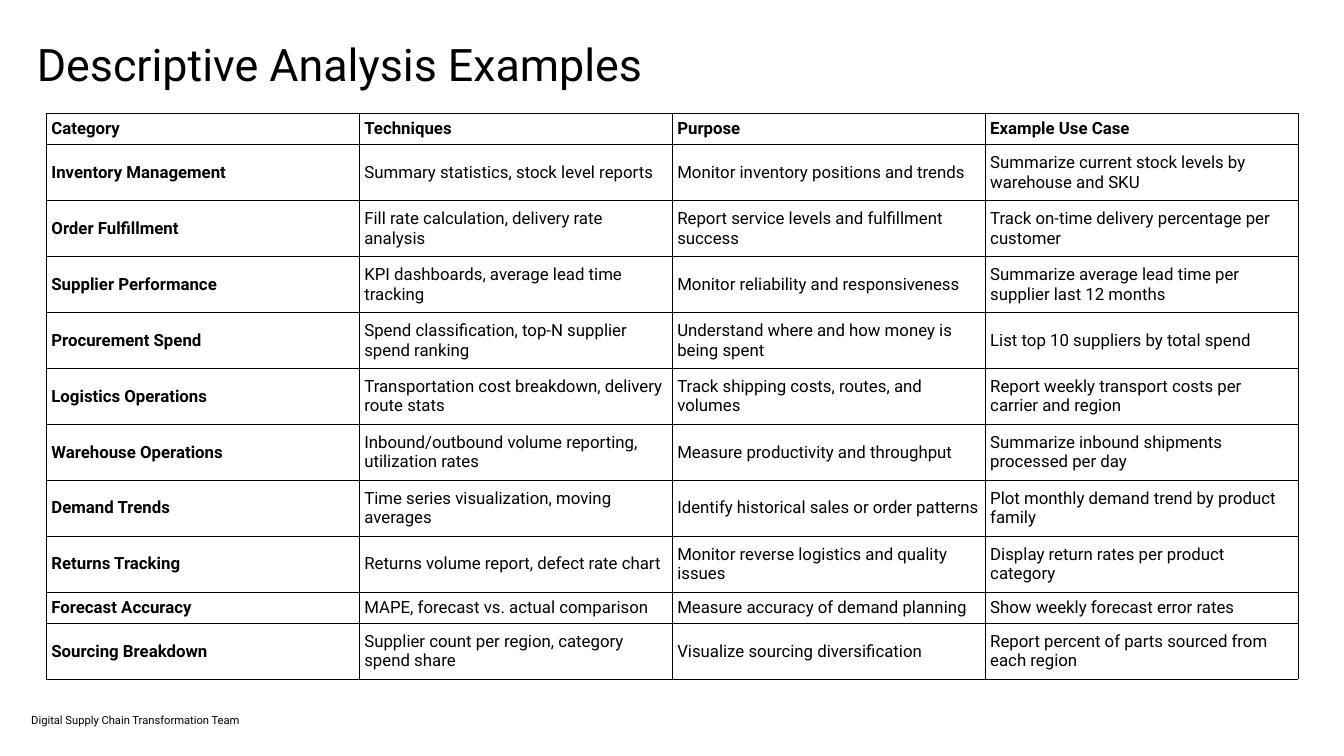
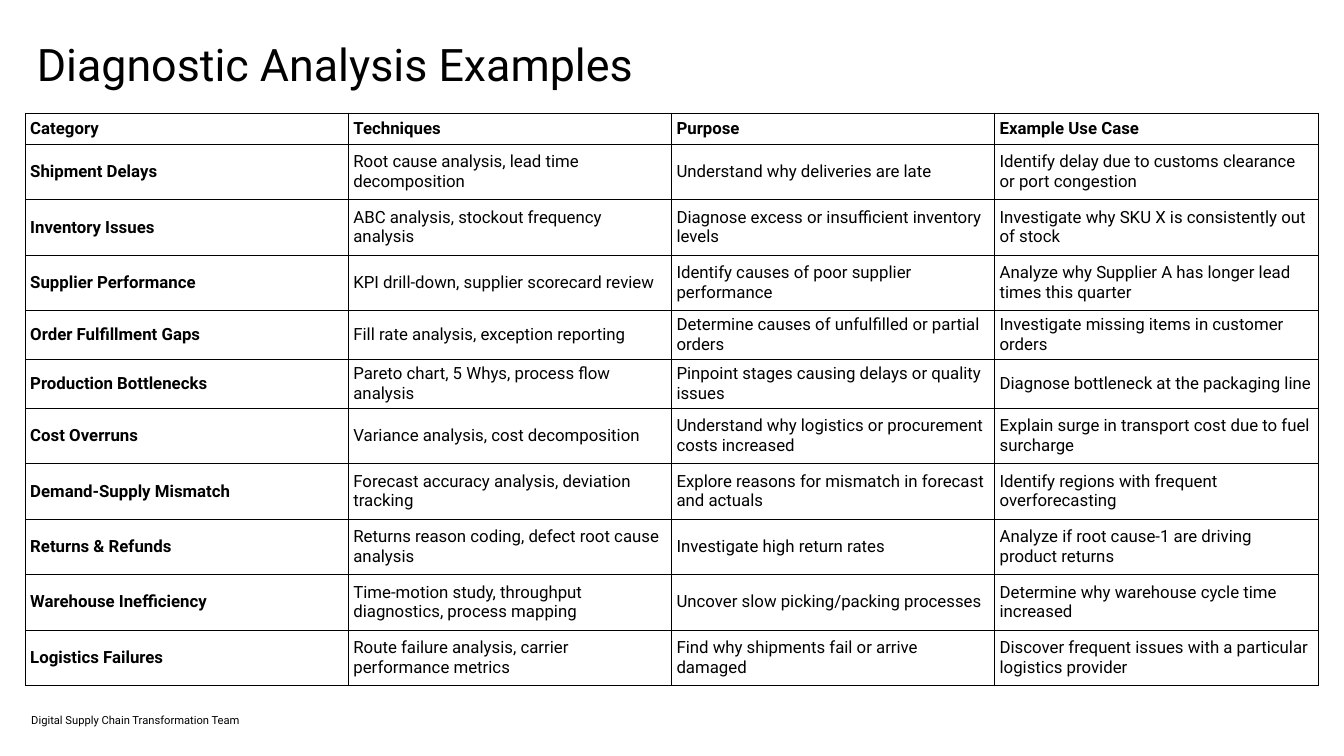
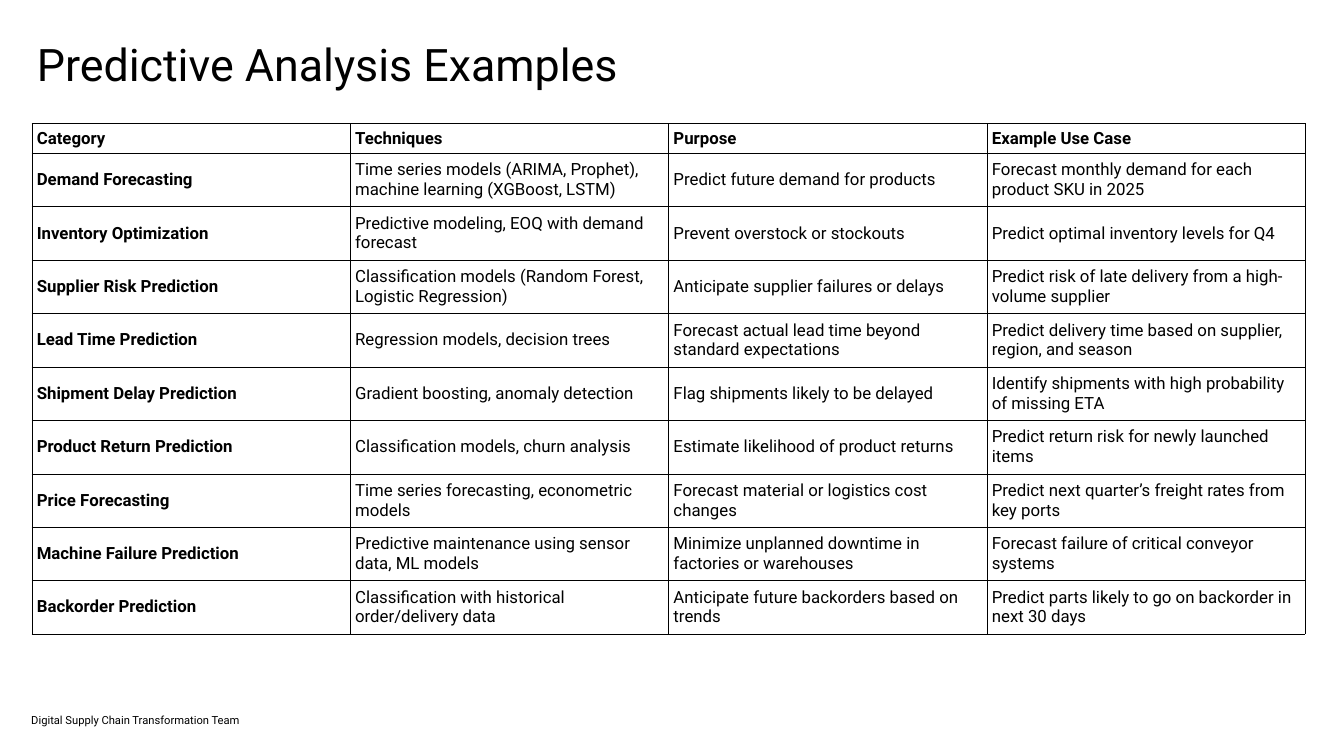
from lxml import etree
from pptx import Presentation
from pptx.dml.color import RGBColor
from pptx.enum import text as tx
from pptx.oxml.ns import qn
from pptx.util import Inches, Pt

BLACK = RGBColor(0x00, 0x00, 0x00)
FONT = "Roboto"
TEAM = "Digital Supply Chain Transformation Team"
TITLE_ONLY = 5
HEAD = ("Category", "Techniques", "Purpose", "Example Use Case")

PAST = [
    ("Inventory Management", "Summary statistics, stock level reports",
     "Monitor inventory positions and trends",
     "Summarize current stock levels by warehouse and SKU"),
    ("Order Fulfillment", "Fill rate calculation, delivery rate analysis",
     "Report service levels and fulfillment success",
     "Track on-time delivery percentage per customer"),
    ("Supplier Performance", "KPI dashboards, average lead time tracking",
     "Monitor reliability and responsiveness",
     "Summarize average lead time per supplier last 12 months"),
    ("Procurement Spend", "Spend classification, top-N supplier spend ranking",
     "Understand where and how money is being spent",
     "List top 10 suppliers by total spend"),
    ("Logistics Operations", "Transportation cost breakdown, delivery route stats",
     "Track shipping costs, routes, and volumes",
     "Report weekly transport costs per carrier and region"),
    ("Warehouse Operations", "Inbound/outbound volume reporting, utilization rates",
     "Measure productivity and throughput",
     "Summarize inbound shipments processed per day"),
    ("Demand Trends", "Time series visualization, moving averages",
     "Identify historical sales or order patterns",
     "Plot monthly demand trend by product family"),
    ("Returns Tracking", "Returns volume report, defect rate chart",
     "Monitor reverse logistics and quality issues",
     "Display return rates per product category"),
    ("Forecast Accuracy", "MAPE, forecast vs. actual comparison",
     "Measure accuracy of demand planning",
     "Show weekly forecast error rates"),
    ("Sourcing Breakdown", "Supplier count per region, category spend share",
     "Visualize sourcing diversification",
     "Report percent of parts sourced from each region"),
]

CAUSE = [
    ("Shipment Delays", "Root cause analysis, lead time decomposition",
     "Understand why deliveries are late",
     "Identify delay due to customs clearance or port congestion"),
    ("Inventory Issues", "ABC analysis, stockout frequency analysis",
     "Diagnose excess or insufficient inventory levels",
     "Investigate why SKU X is consistently out of stock"),
    ("Supplier Performance", "KPI drill-down, supplier scorecard review",
     "Identify causes of poor supplier performance",
     "Analyze why Supplier A has longer lead times this quarter"),
    ("Order Fulfillment Gaps", "Fill rate analysis, exception reporting",
     "Determine causes of unfulfilled or partial orders",
     "Investigate missing items in customer orders"),
    ("Production Bottlenecks", "Pareto chart, 5 Whys, process flow analysis",
     "Pinpoint stages causing delays or quality issues",
     "Diagnose bottleneck at the packaging line"),
    ("Cost Overruns", "Variance analysis, cost decomposition",
     "Understand why logistics or procurement costs increased",
     "Explain surge in transport cost due to fuel surcharge"),
    ("Demand-Supply Mismatch", "Forecast accuracy analysis, deviation tracking",
     "Explore reasons for mismatch in forecast and actuals",
     "Identify regions with frequent overforecasting"),
    ("Returns & Refunds", "Returns reason coding, defect root cause analysis",
     "Investigate high return rates",
     "Analyze if root cause-1 are driving product returns"),
    ("Warehouse Inefficiency",
     "Time-motion study, throughput diagnostics, process mapping",
     "Uncover slow picking/packing processes",
     "Determine why warehouse cycle time increased"),
    ("Logistics Failures", "Route failure analysis, carrier performance metrics",
     "Find why shipments fail or arrive damaged",
     "Discover frequent issues with a particular logistics provider"),
]

NEXT = [
    ("Demand Forecasting",
     "Time series models (ARIMA, Prophet), machine learning (XGBoost, LSTM)",
     "Predict future demand for products",
     "Forecast monthly demand for each product SKU in 2025"),
    ("Inventory Optimization", "Predictive modeling, EOQ with demand forecast",
     "Prevent overstock or stockouts",
     "Predict optimal inventory levels for Q4"),
    ("Supplier Risk Prediction",
     "Classification models (Random Forest, Logistic Regression)",
     "Anticipate supplier failures or delays",
     "Predict risk of late delivery from a high-volume supplier"),
    ("Lead Time Prediction", "Regression models, decision trees",
     "Forecast actual lead time beyond standard expectations",
     "Predict delivery time based on supplier, region, and season"),
    ("Shipment Delay Prediction", "Gradient boosting, anomaly detection",
     "Flag shipments likely to be delayed",
     "Identify shipments with high probability of missing ETA"),
    ("Product Return Prediction", "Classification models, churn analysis",
     "Estimate likelihood of product returns",
     "Predict return risk for newly launched items"),
    ("Price Forecasting", "Time series forecasting, econometric models",
     "Forecast material or logistics cost changes",
     "Predict next quarter’s freight rates from key ports"),
    ("Machine Failure Prediction",
     "Predictive maintenance using sensor data, ML models",
     "Minimize unplanned downtime in factories or warehouses",
     "Forecast failure of critical conveyor systems"),
    ("Backorder Prediction", "Classification with historical order/delivery data",
     "Anticipate future backorders based on trends",
     "Predict parts likely to go on backorder in next 30 days"),
]


def write(frame, words, size=24, bold=False, space=None):
    para = frame.paragraphs[0]
    para.alignment = tx.PP_ALIGN.LEFT
    para.line_spacing = space
    run = para.add_run()
    run.text = words
    font = run.font
    font.name, font.size, font.bold = FONT, Pt(size), bold
    font.color.rgb = BLACK


def place(shape, left, top, width, height):
    shape.left, shape.top = Inches(left), Inches(top)
    shape.width, shape.height = Inches(width), Inches(height)


def add_title(slide, words):
    title = slide.shapes.title
    place(title, 0.63, 0.61, 17.03, 1.44)
    frame = title.text_frame
    frame.auto_size = tx.MSO_AUTO_SIZE.NONE
    frame.vertical_anchor = tx.MSO_ANCHOR.MIDDLE
    write(frame, words, size=64, space=0.9)


def add_footer(slide):
    box = slide.shapes.add_textbox(Inches(0.62), Inches(14), Inches(5.42), Inches(0.42))
    frame = box.text_frame
    frame.word_wrap = True
    frame.vertical_anchor = tx.MSO_ANCHOR.BOTTOM
    frame.margin_left = frame.margin_right = 0
    frame.margin_top = frame.margin_bottom = 0
    write(frame, TEAM, size=16)


def add_edges(cell):
    """Draw a thin line on all four sides of a cell."""
    props = cell._tc.get_or_add_tcPr()
    for side in ("lnL", "lnR", "lnT", "lnB"):
        line = etree.SubElement(props, qn("a:" + side), w=str(Pt(0.5)))
        fill = etree.SubElement(line, qn("a:solidFill"))
        etree.SubElement(fill, qn("a:srgbClr"), val=str(BLACK))


def add_grid(slide, rows, left, top, width, heights):
    shape = slide.shapes.add_table(len(rows) + 1, len(HEAD), Inches(left), Inches(top),
                                   Inches(width), Inches(sum(heights)))
    table = shape.table
    table.horz_banding = False
    for col in table.columns:
        col.width = Inches(width / len(HEAD))
    for r, (words, height) in enumerate(zip([HEAD] + rows, heights)):
        table.rows[r].height = Inches(height)
        for c, word in enumerate(words):
            cell = table.cell(r, c)
            add_edges(cell)
            cell.fill.background()
            cell.vertical_anchor = tx.MSO_ANCHOR.MIDDLE
            write(cell.text_frame, word, bold=r == 0 or c == 0)


def add_page(deck, title, rows, **grid):
    slide = deck.slides.add_slide(deck.slide_layouts[TITLE_ONLY])
    add_footer(slide)
    add_title(slide, title)
    add_grid(slide, rows, **grid)


def main():
    deck = Presentation()
    deck.slide_width, deck.slide_height = Inches(26.67), Inches(15)
    add_page(deck, "Descriptive Analysis Examples", PAST, left=0.92, top=2.25,
             width=24.84, heights=[0.62] + [1.11] * 8 + [0.62, 1.11])
    add_page(deck, "Diagnostic Analysis Examples", CAUSE, left=0.5, top=2.24,
             width=25.65, heights=[0.62] + [1.1] * 3 + [0.97] * 2 + [1.1] * 5)
    add_page(deck, "Predictive Analysis Examples", NEXT, left=0.63, top=2.45,
             width=25.27, heights=[0.59] + [1.06] * 9)
    deck.save("out.pptx")


if __name__ == "__main__":
    main()
